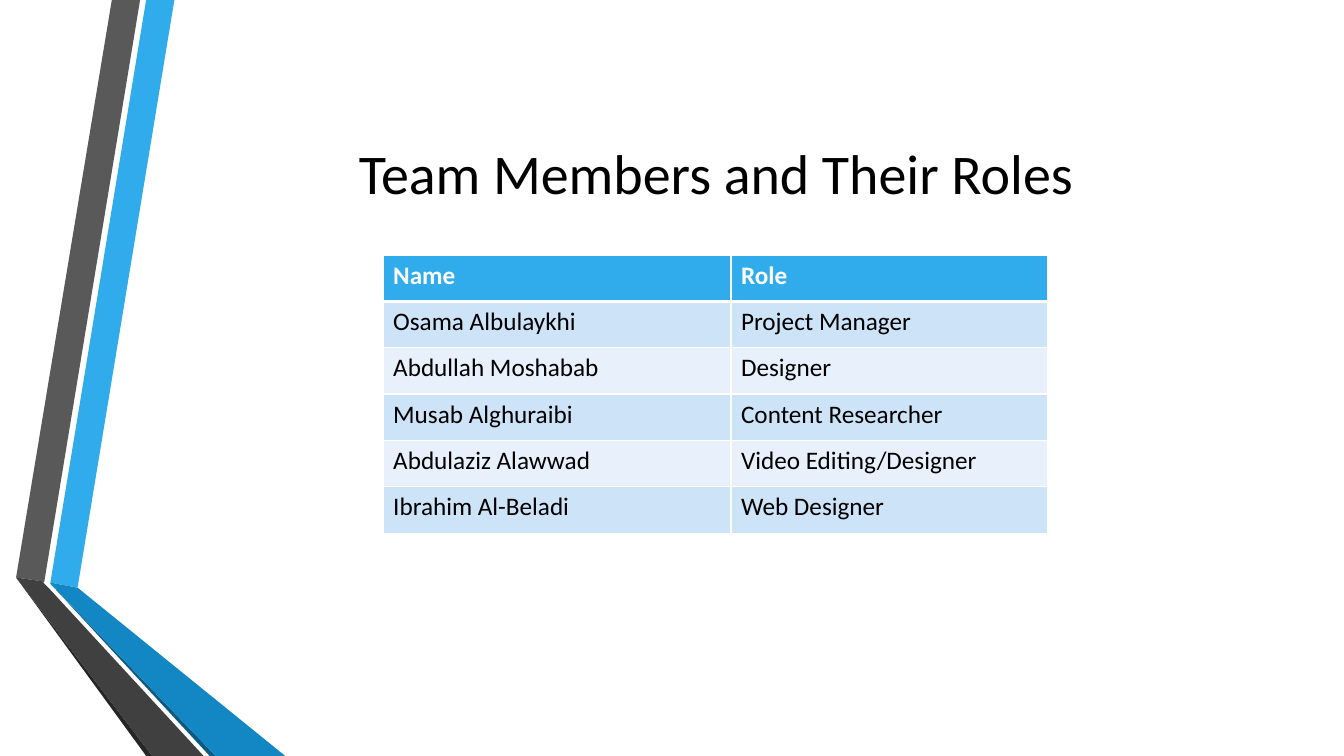
from dataclasses import dataclass

from lxml import etree
from pptx import Presentation
from pptx.dml.color import RGBColor
from pptx.enum.text import MSO_ANCHOR, PP_ALIGN
from pptx.oxml.ns import qn
from pptx.util import Inches, Pt

FONT = "Calibri"
BLACK, WHITE = "000000", "FFFFFF"
HEADER_FILL = "30ACEC"
BAND_FILLS = ("CDE3F8", "E8F1FB")


@dataclass(frozen=True)
class Ribbon:
    color: str
    points: tuple[tuple[float, float], ...]


RIBBONS = (
    Ribbon("30ACEC", ((0.5, 5.78), (0.77, 5.83), (1.73, 0), (1.45, 0))),
    Ribbon("595959", ((1.39, 0), (1.11, 0), (0.16, 5.73), (0.44, 5.77))),
    Ribbon("262626", ((0.16, 5.73), (1.45, 7.5), (1.51, 7.5))),
    Ribbon("0C5A82", ((0.5, 5.79), (2.08, 7.5), (2.14, 7.5))),
    Ribbon("1287C3", ((0.5, 5.79), (2.14, 7.5), (2.83, 7.5), (0.77, 5.83), (0.5, 5.78))),
    Ribbon("404040", ((2.02, 7.5), (0.48, 5.83), (0.43, 5.78), (0.44, 5.77),
                      (0.16, 5.73), (1.51, 7.5))),
)

TEAM = (
    ("Name", "Role"),
    ("Osama Albulaykhi", "Project Manager"),
    ("Abdullah Moshabab", "Designer"),
    ("Musab Alghuraibi", "Content Researcher"),
    ("Abdulaziz Alawwad", "Video Editing/Designer"),
    ("Ibrahim Al-Beladi", "Web Designer"),
)
COLUMN_WIDTHS = (3.45, 3.14)
ROW_HEIGHT = 0.46


def rgb(color: str) -> RGBColor:
    return RGBColor.from_string(color)


def write(frame, text: str, size: float, color: str, bold: bool = False) -> None:
    run = frame.paragraphs[0].add_run()
    run.text = text
    run.font.name, run.font.size, run.font.bold = FONT, Pt(size), bold
    run.font.color.rgb = rgb(color)


def draw_ribbon(slide, ribbon: Ribbon) -> None:
    start, *rest = [(Inches(x), Inches(y)) for x, y in ribbon.points]
    builder = slide.shapes.build_freeform(*start)
    builder.add_line_segments(rest, close=True)
    shape = builder.convert_to_shape()
    shape.fill.solid()
    shape.fill.fore_color.rgb = rgb(ribbon.color)
    shape.line.fill.background()
    shape.shadow.inherit = False


def set_border(cell, side: str, width: float) -> None:
    line = etree.SubElement(cell._tc.get_or_add_tcPr(), qn(f"a:ln{side}"), w=str(Pt(width)))
    fill = etree.SubElement(line, qn("a:solidFill"))
    etree.SubElement(fill, qn("a:srgbClr"), val=WHITE)


def draw_team_table(slide) -> None:
    table = slide.shapes.add_table(
        len(TEAM), len(COLUMN_WIDTHS), Inches(3.8), Inches(2.53),
        Inches(sum(COLUMN_WIDTHS)), Inches(ROW_HEIGHT * len(TEAM))).table
    for column, width in zip(table.columns, COLUMN_WIDTHS):
        column.width = Inches(width)
    for r, member in enumerate(TEAM):
        table.rows[r].height = Inches(ROW_HEIGHT)
        header = r == 0
        for c, text in enumerate(member):
            cell = table.cell(r, c)
            # Borders come before the fill in the cell properties
            widths = {"L": 1, "R": 1, "T": 3 if r == 1 else 1, "B": 3 if header else 1}
            for side, width in widths.items():
                set_border(cell, side, width)
            cell.fill.solid()
            cell.fill.fore_color.rgb = rgb(HEADER_FILL if header else BAND_FILLS[(r - 1) % 2])
            write(cell.text_frame, text, 18, WHITE if header else BLACK, header)


prs = Presentation()
prs.slide_width, prs.slide_height = Inches(13.33), Inches(7.5)
slide = prs.slides.add_slide(prs.slide_layouts[5])
slide.background.fill.solid()
slide.background.fill.fore_color.rgb = rgb(WHITE)

# Folded ribbons on the left
for ribbon in RIBBONS:
    draw_ribbon(slide, ribbon)

# Title
title = slide.shapes.title
title.left, title.top = Inches(1.62), Inches(0.75)
title.width, title.height = Inches(10.96), Inches(1.92)
title.text_frame.vertical_anchor = MSO_ANCHOR.MIDDLE
title.text_frame.paragraphs[0].alignment = PP_ALIGN.CENTER
write(title.text_frame, "Team Members and Their Roles", 40, BLACK)

# Team table
draw_team_table(slide)

prs.save("out.pptx")
